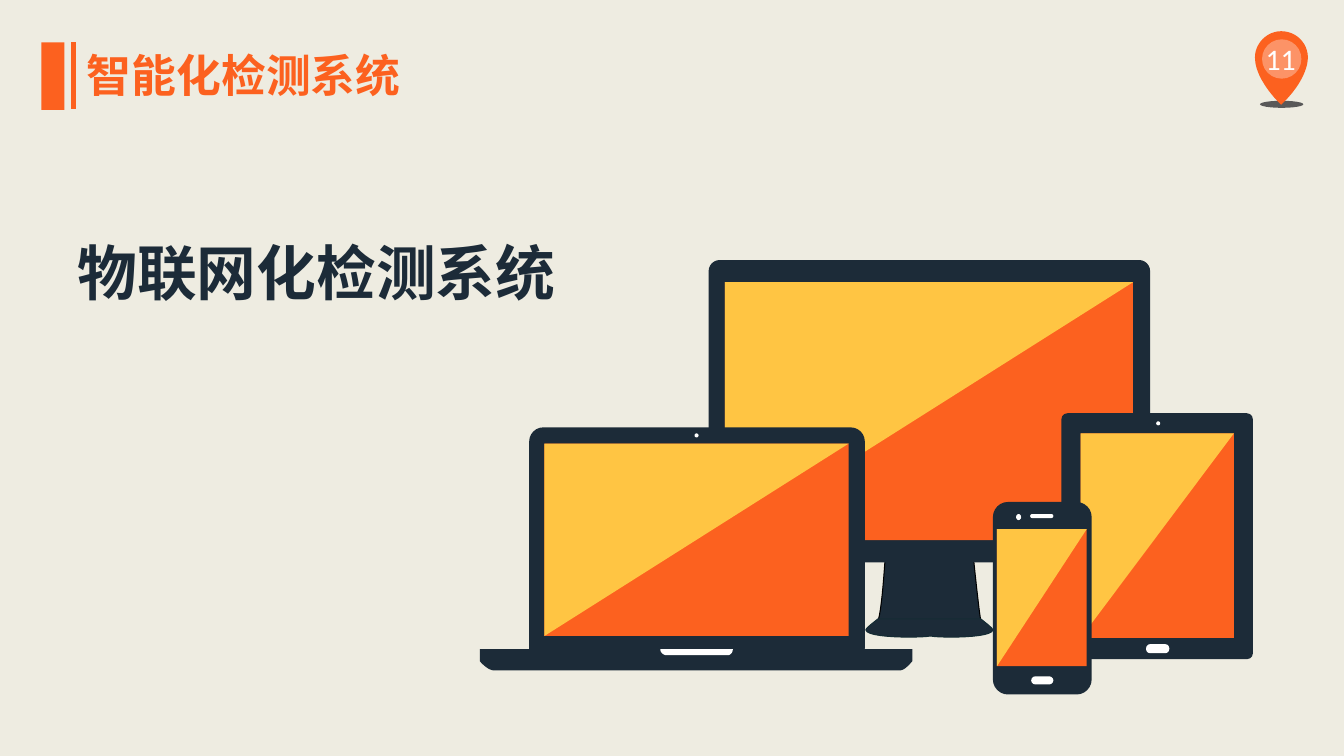
from lxml.etree import SubElement
from pptx import Presentation
from pptx.dml.color import RGBColor
from pptx.enum.shapes import MSO_CONNECTOR, MSO_SHAPE
from pptx.enum.text import MSO_ANCHOR, MSO_AUTO_SIZE, PP_ALIGN
from pptx.oxml.ns import qn
from pptx.util import Inches, Pt

ORANGE, YELLOW, NAVY, WHITE = "FC611F", "FFC543", "1C2B38", "FFFFFF"
EDGE, GREY, SAND = "152C34", "595959", "EEECE1"
CJK, LATIN = "Noto Sans CJK SC", "Calibri"
COLUMNS, ROWS = 133.33, 75
CURVE_STEPS = 12


def colour(code):
    return RGBColor.from_string(code)


def cells(count):
    return Inches(count / 10)


def bezier(start, first, second, end):
    for step in range(1, CURVE_STEPS + 1):
        t = step / CURVE_STEPS
        weights = ((1 - t) ** 3, 3 * t * (1 - t) ** 2, 3 * t * t * (1 - t), t ** 3)
        yield tuple(
            sum(w * p[axis] for w, p in zip(weights, (start, first, second, end)))
            for axis in (0, 1)
        )


class Canvas:
    def __init__(self, deck):
        self.slide = deck.slides.add_slide(deck.slide_layouts[6])
        self.shapes = self.slide.shapes
        background = self.slide.background.fill
        background.solid()
        background.fore_color.rgb = colour(SAND)

    def paint(self, item, fill, edge=None, opacity=None):
        item.shadow.inherit = False
        item.fill.solid()
        item.fill.fore_color.rgb = colour(fill)
        if opacity:
            tint = item.fill._xPr.find(qn("a:solidFill"))[0]
            SubElement(tint, qn("a:alpha")).set("val", str(opacity * 1000))
        if edge:
            item.line.color.rgb = colour(edge)
            item.line.width = Pt(0.75)
        else:
            item.line.fill.background()

    def block(self, box, fill, kind=MSO_SHAPE.RECTANGLE, radius=None, opacity=None):
        item = self.shapes.add_shape(kind, *map(cells, box))
        if radius:
            item.adjustments[0] = min(0.5, radius / min(box[2:]))
        self.paint(item, fill, opacity=opacity)

    def rounded(self, box, fill, radius):
        self.block(box, fill, MSO_SHAPE.ROUNDED_RECTANGLE, radius)

    def oval(self, box, fill, opacity=None):
        self.block(box, fill, MSO_SHAPE.OVAL, opacity=opacity)

    def outline(self, start, segments, fill, edge=None):
        points = [start]
        for segment in segments:
            if len(segment) == 3:
                points.extend(bezier(points[-1], *segment))
            else:
                points.extend(segment)
        points = [tuple(map(cells, point)) for point in points]
        builder = self.shapes.build_freeform(*points[0], scale=1.0)
        builder.add_line_segments(points[1:], close=True)
        self.paint(builder.convert_to_shape(), fill, edge)

    def device(self, body, radius, screen):
        left, top, width, height = screen
        self.rounded(body, NAVY, radius)
        self.block(screen, ORANGE)
        self.outline(
            (left, top), [[(left + width, top)], [(left, top + height)]], YELLOW
        )

    def rule(self, start, end, tone, weight):
        item = self.shapes.add_connector(
            MSO_CONNECTOR.STRAIGHT, *map(cells, start + end)
        )
        item.line.color.rgb = colour(tone)
        item.line.width = Pt(weight)
        SubElement(item._element.spPr, qn("a:effectLst"))

    def text(self, box, words, size, tone, face, bold=False, **frame_format):
        frame = self.shapes.add_textbox(*map(cells, box)).text_frame
        for name, value in frame_format.items():
            setattr(frame, name, value)
        paragraph = frame.paragraphs[0]
        paragraph.alignment = PP_ALIGN.CENTER
        run = paragraph.add_run()
        run.text = words
        for name, value in {"name": face, "size": Pt(size), "bold": bold}.items():
            setattr(run.font, name, value)
        run.font.color.rgb = colour(tone)
        SubElement(run.font._element, qn("a:ea")).set("typeface", face)


def draw_page_pin(canvas):
    canvas.oval((125, 10, 4.3, 0.7), GREY)
    canvas.outline(
        (129.75, 5.7),
        [
            [(129.75, 4.3), (128.6, 3.1), (127.1, 3.1)],
            [(125.7, 3.1), (124.5, 4.3), (124.5, 5.7)],
            [(124.5, 8), (127.1, 10.4), (127.1, 10.4)],
            [(128.8, 8.8), (129.75, 7), (129.75, 5.7)],
        ],
        ORANGE,
    )
    canvas.oval((125.2, 3.9, 3.9, 3.9), WHITE, opacity=32)
    canvas.text((111.5, 3.8, 31.1, 4), "11", 21.3, WHITE, LATIN,
                word_wrap=True, vertical_anchor=MSO_ANCHOR.MIDDLE)


def draw_monitor(canvas):
    canvas.outline(
        (87.8, 55.6),
        [
            [(96.6, 55.6)],
            [(97.2, 61.4), (97.3, 61.5), (97.3, 61.5)],
            [(87.1, 61.5)],
            [(87.1, 61.5), (87.4, 61.4), (87.8, 55.6)],
        ],
        NAVY, "000000",
    )
    canvas.outline(
        (97.3, 61.4),
        [
            [(87.1, 61.4)],
            [(87, 61.5), (85.9, 62.3), (85.9, 62.5)],
            [(86, 63.3), (91.2, 63.3), (92.3, 63.1)],
            [(93.4, 63.3), (98.4, 63.3), (98.5, 62.5)],
            [(98.5, 62.3), (97.4, 61.5), (97.3, 61.4)],
        ],
        NAVY, EDGE,
    )
    canvas.device((70.3, 25.8, 43.8, 30), 1.1, (71.9, 28, 40.5, 25.6))


def draw_tablet(canvas):
    canvas.device((105.3, 41, 19, 24.4), 0.6, (107.2, 43, 15.2, 20.3))
    canvas.oval((114.7, 41.8, 0.4, 0.4), WHITE)
    canvas.rounded((113.7, 63.9, 2.3, 0.9), WHITE, 0.4)


def draw_laptop(canvas):
    canvas.device((52.5, 42.4, 33.3, 23.3), 1.4, (54, 44, 30.2, 19.1))
    canvas.oval((68.9, 43, 0.4, 0.4), WHITE)
    canvas.outline(
        (47.6, 64.4),
        [
            [(90.5, 64.4)],
            [(90.5, 65.6)],
            [(90, 66.2), (89.6, 66.5), (89.3, 66.5)],
            [(49.3, 66.5)],
            [(49.1, 66.5), (48.6, 66.7), (47.6, 65.6)],
        ],
        NAVY,
    )
    canvas.outline(
        (65.5, 64.4),
        [
            [(72.7, 64.4)],
            [(72.7, 64.7), (72.5, 65), (72.2, 65)],
            [(66.1, 65)],
            [(65.8, 65), (65.5, 64.7), (65.5, 64.4)],
        ],
        WHITE,
    )


def draw_phone(canvas):
    canvas.device((98.5, 49.8, 9.8, 19.1), 1.5, (98.9, 52.5, 8.9, 13.6))
    canvas.rounded((102.3, 67.1, 2.2, 0.8), WHITE, 0.4)
    canvas.rounded((102.2, 51, 2.3, 0.4), WHITE, 0.2)
    canvas.oval((100.8, 51, 0.5, 0.6), WHITE)


def draw_headings(canvas):
    fitted = {"word_wrap": False, "auto_size": MSO_AUTO_SIZE.SHAPE_TO_FIT_TEXT}
    canvas.text((6.4, 22.9, 50, 8.2), "物联网化检测系统", 42.7, NAVY, CJK, True, **fitted)
    canvas.block((4.1, 4.2, 2.3, 6.7), ORANGE)
    canvas.rule((7.3, 4.2), (7.3, 10.8), ORANGE, 3)
    canvas.text((7.5, 4.2, 33.4, 6.4), "智能化检测系统", 32, ORANGE, CJK, True, **fitted)


def main():
    deck = Presentation()
    deck.slide_width, deck.slide_height = cells(COLUMNS), cells(ROWS)
    canvas = Canvas(deck)
    for draw in (draw_page_pin, draw_monitor, draw_tablet,
                 draw_laptop, draw_phone, draw_headings):
        draw(canvas)
    deck.save("out.pptx")


if __name__ == "__main__":
    main()
